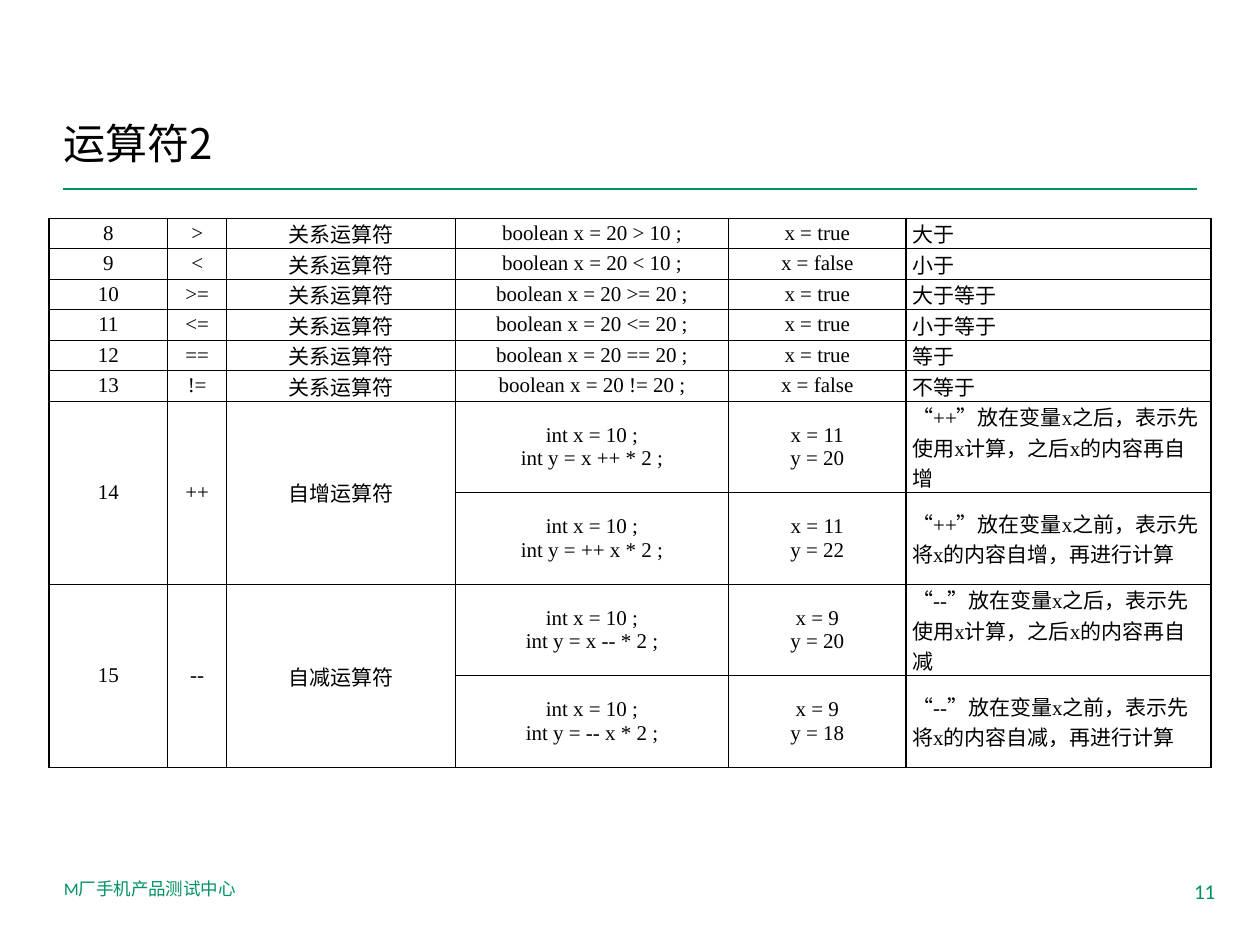
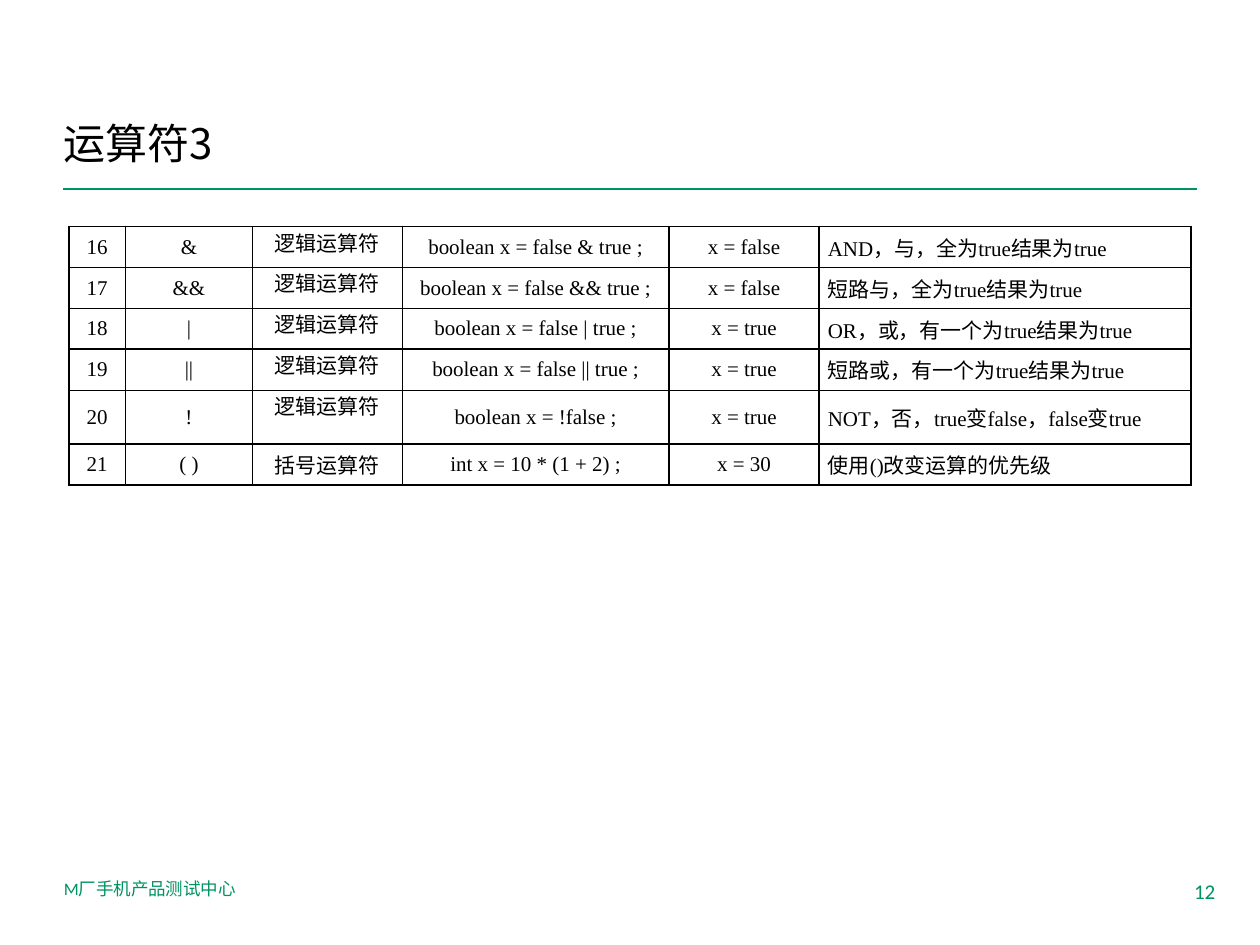
from dataclasses import dataclass

import lxml.etree
import pptx
import pptx.dml.color
import pptx.enum.shapes
import pptx.enum.text
import pptx.oxml.ns
import pptx.util
from pptx.util import Cm

COLORS = {"green": "00925F", "black": "000000"}
CHINESE_FONT = "Noto Sans CJK SC"
BODY_FONT = "Times New Roman"
FOOTER_FONT = "Calibri"
FOOTER_TEXT = "M厂手机产品测试中心"
FOOTER_TOP = 17.58
FOOTER_HEIGHT = 1.02

LEFT = pptx.enum.text.PP_ALIGN.LEFT
CENTER = pptx.enum.text.PP_ALIGN.CENTER
RIGHT = pptx.enum.text.PP_ALIGN.RIGHT
TOP = pptx.enum.text.MSO_ANCHOR.TOP
MIDDLE = pptx.enum.text.MSO_ANCHOR.MIDDLE
qn = pptx.oxml.ns.qn


@dataclass(frozen=True)
class TextStyle:
    font: str
    size: float
    color: str
    align: pptx.enum.text.PP_ALIGN = LEFT


@dataclass(frozen=True)
class OperatorTable:
    """Lengths in cm; an empty cell continues the cell above it."""
    left: float
    top: float
    columns: list[float]
    row_heights: list[float]
    side_margin: float
    rows: list[tuple[str, ...]]
    top_anchored: str = ""


@dataclass(frozen=True)
class OperatorSlide:
    title: str
    number: int
    table: OperatorTable


TITLE = TextStyle(CHINESE_FONT, 24, "black")
FOOTER = TextStyle(FOOTER_FONT, 10, "green")
PAGE_NUMBER = TextStyle(FOOTER_FONT, 12, "green", RIGHT)


# Text and line helpers
def style_text(text_frame, text: str, style: TextStyle) -> None:
    text_frame.text = text
    for paragraph in text_frame.paragraphs:
        paragraph.alignment = style.align
        font = paragraph.font
        font.name = style.font
        font.size = pptx.util.Pt(style.size)
        font.color.rgb = pptx.dml.color.RGBColor.from_string(COLORS[style.color])
        defaults = paragraph._p.pPr.find(qn("a:defRPr"))
        defaults.set("lang", "zh-CN")
        lxml.etree.SubElement(defaults, qn("a:ea"), typeface=CHINESE_FONT)


def add_text(slide, left: float, top: float, width: float, height: float,
             text: str, style: TextStyle):
    shape = slide.shapes.add_textbox(Cm(left), Cm(top), Cm(width), Cm(height))
    shape.text_frame.word_wrap = True
    style_text(shape.text_frame, text, style)
    return shape


def add_title_rule(slide) -> None:
    connector = slide.shapes.add_connector(
        pptx.enum.shapes.MSO_CONNECTOR.STRAIGHT, Cm(1.27), Cm(3.81), Cm(24.13), Cm(3.81))
    connector.line.color.rgb = pptx.dml.color.RGBColor.from_string(COLORS["green"])
    connector.line.width = pptx.util.Pt(1)
    lxml.etree.SubElement(connector._element.spPr, qn("a:effectLst"))


# Table
def add_borders(cell) -> None:
    properties = cell._tc.get_or_add_tcPr()
    for side in ("lnL", "lnR", "lnT", "lnB"):
        line = lxml.etree.SubElement(properties, qn(f"a:{side}"), w=str(pptx.util.Pt(1)))
        fill = lxml.etree.SubElement(line, qn("a:solidFill"))
        lxml.etree.SubElement(fill, qn("a:srgbClr"), val=COLORS["black"])


def add_operator_table(slide, content: OperatorTable) -> None:
    rows, columns = content.rows, content.columns
    table = slide.shapes.add_table(
        len(rows), len(columns), Cm(content.left), Cm(content.top),
        Cm(sum(columns)), Cm(sum(content.row_heights))).table
    table.first_row = table.horz_banding = False
    for column, width in zip(table.columns, columns):
        column.width = Cm(width)
    for row, height in zip(table.rows, content.row_heights):
        row.height = Cm(height)

    for row_index, texts in enumerate(rows):
        for column_index, text in enumerate(texts):
            cell = table.cell(row_index, column_index)
            cell.margin_left = cell.margin_right = Cm(content.side_margin)
            cell.margin_top = cell.margin_bottom = 0
            cell.vertical_anchor = TOP if text == content.top_anchored else MIDDLE
            add_borders(cell)
            cell.fill.background()
            if not text:
                table.cell(row_index - 1, column_index).merge(cell)
                continue
            align = LEFT if column_index == len(columns) - 1 else CENTER
            style_text(cell.text_frame, text, TextStyle(BODY_FONT, 12, "black", align))


# Content
RELATIONAL = "关系运算符"
LOGICAL = "逻辑运算符"

SLIDES = [
    OperatorSlide("运算符2", 11, OperatorTable(
        left=0.99, top=4.4, columns=[2.39, 1.19, 4.61, 5.51, 3.57, 6.15],
        row_heights=[0.61, 0.62] * 3 + [1.84, 1.85] * 2, side_margin=0.13,
        rows=[
            ("8", ">", RELATIONAL, "boolean x = 20 > 10 ;", "x = true", "大于"),
            ("9", "<", RELATIONAL, "boolean x = 20 < 10 ;", "x = false", "小于"),
            ("10", ">=", RELATIONAL, "boolean x = 20 >= 20 ;", "x = true", "大于等于"),
            ("11", "<=", RELATIONAL, "boolean x = 20 <= 20 ;", "x = true", "小于等于"),
            ("12", "==", RELATIONAL, "boolean x = 20 == 20 ;", "x = true", "等于"),
            ("13", "!=", RELATIONAL, "boolean x = 20 != 20 ;", "x = false", "不等于"),
            ("14", "++", "自增运算符", "int x = 10 ;\nint y = x ++ * 2 ;", "x = 11\ny = 20",
             "“++”放在变量x之后，表示先使用x计算，之后x的内容再自增"),
            ("", "", "", "int x = 10 ;\nint y = ++ x * 2 ;", "x = 11\ny = 22",
             "“++”放在变量x之前，表示先将x的内容自增，再进行计算"),
            ("15", "--", "自减运算符", "int x = 10 ;\nint y = x -- * 2 ;", "x = 9\ny = 20",
             "“--”放在变量x之后，表示先使用x计算，之后x的内容再自减"),
            ("", "", "", "int x = 10 ;\nint y = -- x * 2 ;", "x = 9\ny = 18",
             "“--”放在变量x之前，表示先将x的内容自减，再进行计算"),
        ])),
    OperatorSlide("运算符3", 12, OperatorTable(
        left=1.39, top=4.57, columns=[1.14, 2.56, 3.02, 5.38, 3.02, 7.5],
        row_heights=[0.82, 0.83, 0.82, 0.83, 1.08, 0.83], side_margin=0.18,
        top_anchored=LOGICAL,
        rows=[
            ("16", "&", LOGICAL, "boolean x = false & true ;", "x = false",
             "AND，与，全为true结果为true"),
            ("17", "&&", LOGICAL, "boolean x = false && true ;", "x = false",
             "短路与，全为true结果为true"),
            ("18", "|", LOGICAL, "boolean x = false | true ;", "x = true",
             "OR，或，有一个为true结果为true"),
            ("19", "||", LOGICAL, "boolean x = false || true ;", "x = true",
             "短路或，有一个为true结果为true"),
            ("20", "!", LOGICAL, "boolean x = !false ;", "x = true",
             "NOT，否，true变false，false变true"),
            ("21", "( )", "括号运算符", "int x = 10 * (1 + 2) ;", "x = 30",
             "使用()改变运算的优先级"),
        ])),
]


def add_operator_slide(presentation, content: OperatorSlide) -> None:
    slide = presentation.slides.add_slide(presentation.slide_layouts[6])
    add_title_rule(slide)
    add_text(slide, 1.04, FOOTER_TOP, 8.05, FOOTER_HEIGHT, FOOTER_TEXT, FOOTER)
    title = add_text(slide, 1.28, 2.06, 22.86, 1.63, content.title, TITLE)
    title.text_frame.margin_left = 0
    title.text_frame.vertical_anchor = MIDDLE
    add_text(slide, 23.63, FOOTER_TOP, 1.12, FOOTER_HEIGHT, str(content.number), PAGE_NUMBER)
    add_operator_table(slide, content.table)


def main() -> None:
    presentation = pptx.Presentation()
    presentation.slide_width = Cm(25.4)
    presentation.slide_height = Cm(19.05)
    for content in SLIDES:
        add_operator_slide(presentation, content)
    presentation.save("out.pptx")


if __name__ == "__main__":
    main()
